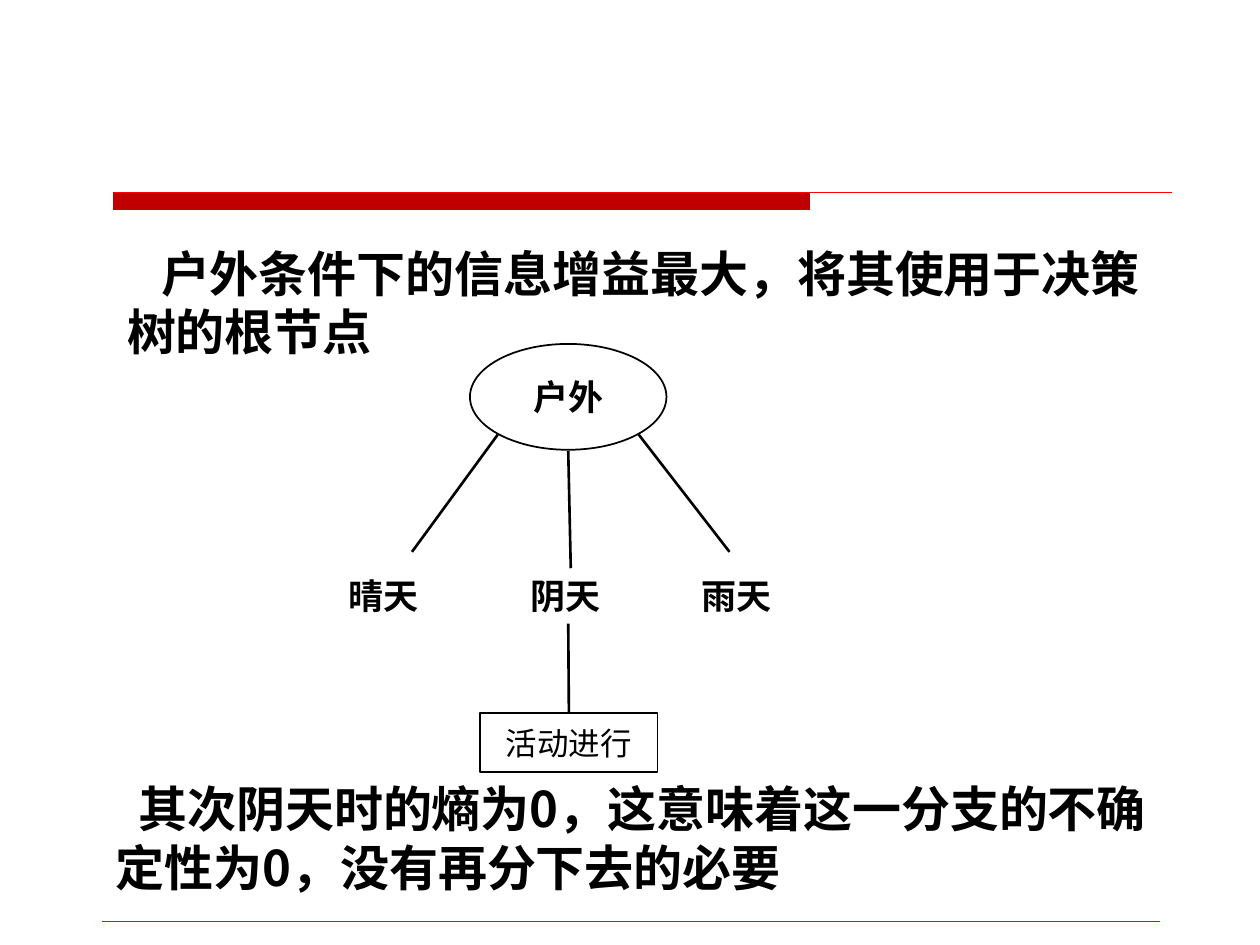
"""Build a slide showing the root split of an outdoor-activity decision tree."""

from lxml.etree import SubElement
from pptx import Presentation
from pptx.dml.color import RGBColor
from pptx.enum.shapes import MSO_CONNECTOR, MSO_SHAPE
from pptx.enum.text import MSO_ANCHOR, PP_ALIGN
from pptx.oxml.ns import qn
from pptx.util import Inches, Pt

BLACK = RGBColor(0x00, 0x00, 0x00)
WHITE = RGBColor(0xFF, 0xFF, 0xFF)
RED = RGBColor(0xFF, 0x00, 0x00)
DARK_RED = RGBColor(0xC0, 0x00, 0x00)
CHINESE_FONT = "Noto Sans CJK SC"

deck = Presentation()
deck.slide_width, deck.slide_height = Inches(10), Inches(7.5)
COLUMN = deck.slide_width / 100
ROW = deck.slide_height / 75
page = deck.slides.add_slide(deck.slide_layouts[6])


def add_line(start, end, color, width):
    line = page.shapes.add_connector(
        MSO_CONNECTOR.STRAIGHT,
        round(start[0] * COLUMN), round(start[1] * ROW),
        round(end[0] * COLUMN), round(end[1] * ROW),
    )
    line.line.color.rgb = color
    line.line.width = Pt(width)
    SubElement(line._element.spPr, qn("a:effectLst"))
    return line


def add_text(left, top, width, height, text, size, bold=True, font="Arial", preset=None):
    place = (round(left * COLUMN), round(top * ROW), round(width * COLUMN), round(height * ROW))
    if preset is None:
        box = page.shapes.add_textbox(*place)
    else:
        box = page.shapes.add_shape(preset, *place)
        box.shadow.inherit = False
        box.fill.solid()
        box.fill.fore_color.rgb = WHITE
        box.line.color.rgb = BLACK
        box.line.width = Pt(1)
        box.text_frame.vertical_anchor = MSO_ANCHOR.MIDDLE
    box.text_frame.word_wrap = True
    box.text_frame.text = text
    para = box.text_frame.paragraphs[0]
    para.alignment = PP_ALIGN.LEFT if preset is None else PP_ALIGN.CENTER
    span = para.runs[0]
    span.font.size = Pt(size)
    span.font.bold = bold
    span.font.name = font
    span.font.color.rgb = BLACK
    SubElement(span._r.get_or_add_rPr(), qn("a:ea"), typeface=CHINESE_FONT)
    return box


add_line((9, 15.3), (93, 15.3), RED, 0.5)
add_line((9, 16), (64.3, 16), DARK_RED, 9.5)
add_line((8.1, 73.1), (92.1, 73.1), RED, 0.5)

statements = [
    (9.1, 18.8, 2.7, "户外条件下的信息增益最大，将其使用于决策树的根节点"),
    (8.2, 61.3, 1.8, "其次阴天时的熵为0，这意味着这一分支的不确定性为0，没有再分下去的必要"),
]
for left, top, indent, text in statements:
    statement = add_text(left, top, 83.9, 10.4, text, 28, font=CHINESE_FONT)
    properties = statement.text_frame.paragraphs[0]._p.get_or_add_pPr()
    properties.set("marL", "0")
    properties.set("indent", str(round(indent * COLUMN)))

add_text(37.3, 27.3, 15.6, 8.4, "户外", 20, preset=MSO_SHAPE.OVAL)

branches = [
    ("晴天", 26.7, (39.5, 34.5), (32.7, 43.8)),
    ("阴天", 41.1, (45.1, 35.8), (45.3, 45.1)),
    ("雨天", 54.7, (50.7, 34.5), (57.9, 43.8)),
]
for weather, left, start, end in branches:
    add_line(start, end, BLACK, 1.5)
    add_text(left, 45.1, 9.6, 4.4, weather, 20)

outcome = add_text(38.1, 56.6, 14.1, 4.7, "活动进行", 18, bold=False, preset=MSO_SHAPE.RECTANGLE)
outcome_line = add_line((45.1, 49.5), (45.1, 56.6), BLACK, 1.5)
outcome_line.end_connect(outcome, 0)

deck.save("out.pptx")
